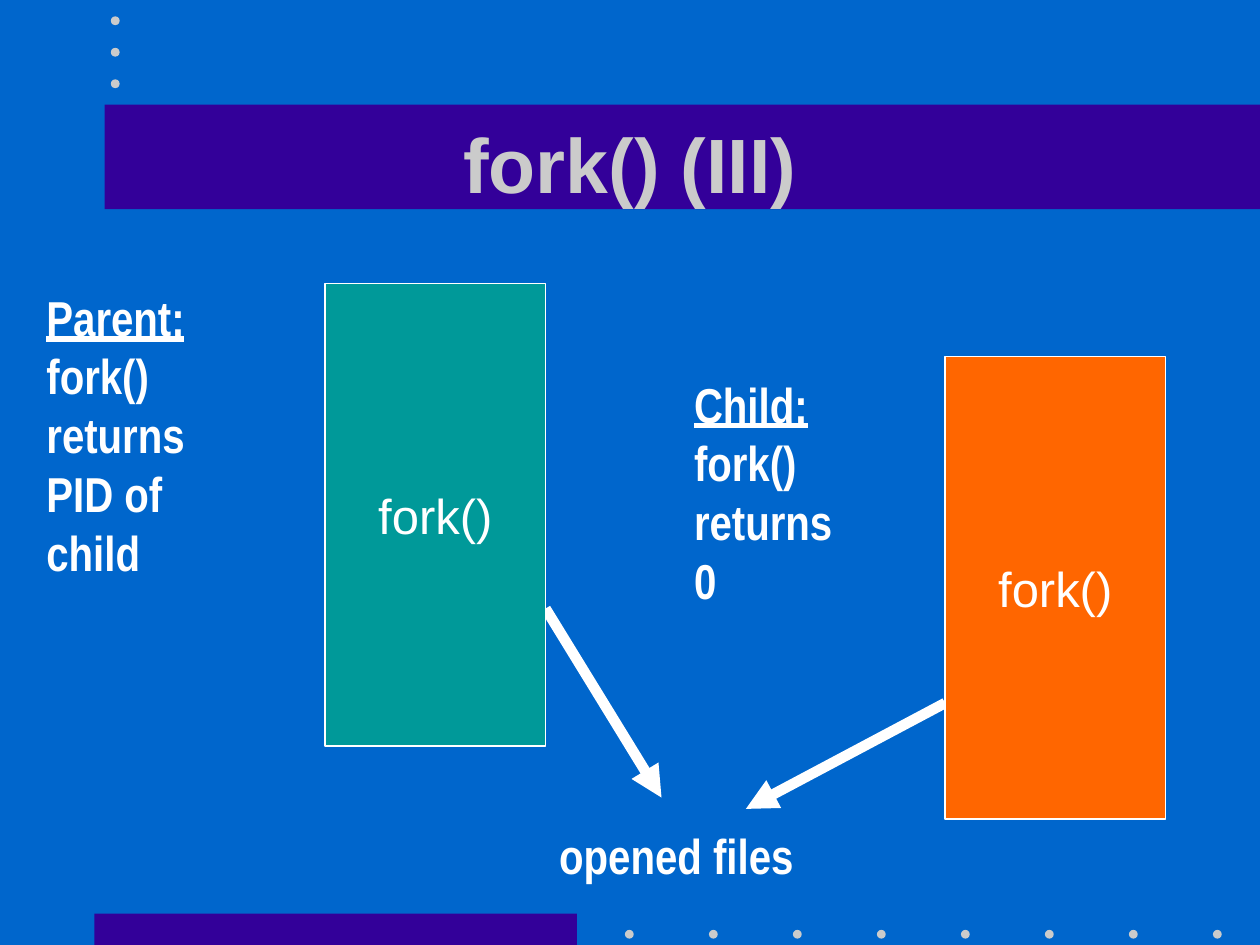
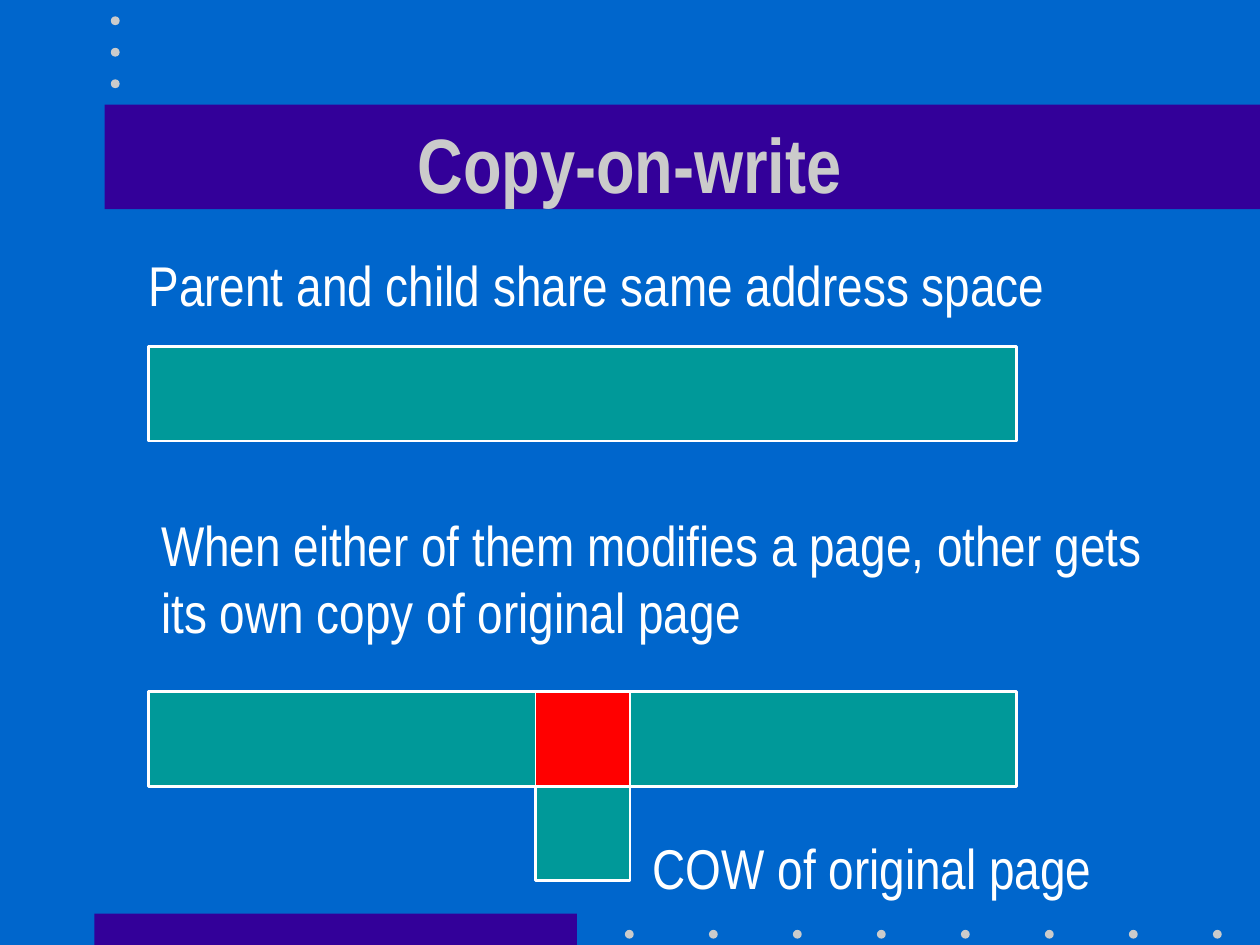
from lxml import etree
from pptx import Presentation
from pptx.dml.color import RGBColor
from pptx.enum import shapes, text
from pptx.oxml.ns import qn
from pptx.util import Inches, Pt

BLUE = RGBColor(0x00, 0x66, 0xCC)
PURPLE = RGBColor(0x33, 0x00, 0x99)
GREY = RGBColor(0xCB, 0xCB, 0xCB)
WHITE = RGBColor(0xFF, 0xFF, 0xFF)
TEAL = RGBColor(0x00, 0x99, 0x99)
ORANGE = RGBColor(0xFF, 0x66, 0x00)
RED = RGBColor(0xFF, 0x00, 0x00)

SANS = "Arial"
NARROW = "Arial Narrow"
RECT = shapes.MSO_SHAPE.RECTANGLE
OVAL = shapes.MSO_SHAPE.OVAL


def set_font(p, name, size, color, bold=False):
    p.font.name = name
    p.font.size = Pt(size)
    p.font.color.rgb = color
    p.font.bold = bold


def add_block(s, box, fill, line=None, label="", kind=RECT):
    """Filled shape; line is the width of a white outline in points."""
    sp = s.shapes.add_shape(kind, *map(Inches, box))
    sp.shadow.inherit = False
    sp.fill.solid()
    sp.fill.fore_color.rgb = fill
    if line:
        sp.line.color.rgb = WHITE
        sp.line.width = Pt(line)
    else:
        sp.line.fill.background()
    if label:
        tf = sp.text_frame
        tf.word_wrap = False
        tf.vertical_anchor = text.MSO_ANCHOR.MIDDLE
        p = tf.paragraphs[0]
        p.text = label
        p.alignment = text.PP_ALIGN.CENTER
        set_font(p, SANS, 28, WHITE)
    return sp


def add_text(s, box, lines, size, bold=False, wrap=False):
    tf = s.shapes.add_textbox(*map(Inches, box)).text_frame
    tf.word_wrap = wrap
    tf.auto_size = text.MSO_AUTO_SIZE.SHAPE_TO_FIT_TEXT
    tf.text = "\n".join(lines)
    for p in tf.paragraphs:
        set_font(p, NARROW, size, WHITE, bold)
    return tf


def add_process_note(s, box, heading, *lines):
    tf = add_text(s, box, [heading, *lines], 28, bold=True, wrap=True)
    tf.paragraphs[0].font.underline = True


def add_arrow(s, start, end):
    cn = s.shapes.add_connector(shapes.MSO_CONNECTOR.STRAIGHT,
                                *map(Inches, (*start, *end)))
    cn.line.color.rgb = WHITE
    cn.line.width = Pt(6)
    etree.SubElement(cn.line._get_or_add_ln(), qn("a:tailEnd"), type="triangle")
    etree.SubElement(cn._element.spPr, qn("a:effectLst"))


def move_to_layout(layout, items):
    """Put shapes behind the placeholders of the layout."""
    for i, sp in enumerate(items):
        el = sp._element
        el.nvSpPr.cNvPr.set("id", str(100 + i))
        layout.shapes._spTree.insert(2 + i, el)


def decorate(s):
    """Draw the bands and dots that all slides share, on their layout."""
    s.slide_layout.slide_master.background.fill.solid()
    s.slide_layout.slide_master.background.fill.fore_color.rgb = BLUE
    bands = [(0.75, 7.25, 3.83, 0.25), (0.83, 0.83, 9.17, 0.83)]
    dots = [(4.96 + i * 2 / 3, 7.38, 0.07, 0.07) for i in range(8)]
    dots += [(0.88, 0.13 + i * 0.25, 0.07, 0.07) for i in range(3)]
    items = [add_block(s, box, PURPLE) for box in bands]
    items += [add_block(s, box, GREY, kind=OVAL) for box in dots]
    move_to_layout(s.slide_layout, items)


def add_slide(prs, title, font):
    s = prs.slides.add_slide(prs.slide_layouts[5])
    sp = s.shapes.title
    sp.left, sp.top, sp.width, sp.height = map(Inches, (0.75, 0.67, 8.5, 1.25))
    tf = sp.text_frame
    tf.text = title
    tf.word_wrap = True
    tf.auto_size = text.MSO_AUTO_SIZE.NONE
    tf.vertical_anchor = text.MSO_ANCHOR.MIDDLE
    p = tf.paragraphs[0]
    p.alignment = text.PP_ALIGN.CENTER
    set_font(p, font, 44, GREY, bold=True)
    return s


def fill_fork(s):
    add_arrow(s, (7.5, 5.58), (5.92, 6.42))
    add_arrow(s, (4.33, 4.83), (5.25, 6.33))
    for left, top, color in ((2.58, 2.25, TEAL), (7.5, 2.83, ORANGE)):
        add_block(s, (left, top, 1.75, 3.67), color, 1, "fork()")
    add_process_note(s, (0.27, 2.23, 1.68, 2.44),
                     "Parent:", "fork()", "returns", "PID of", "child")
    add_process_note(s, (5.41, 2.92, 1.49, 1.97),
                     "Child:", "fork()", "returns", "0")
    add_text(s, (4.34, 6.5, 2.06, 0.57), ["opened files"], 28, bold=True)


def fill_copy_on_write(s):
    left, width, page = 1.18, 6.89, 0.75
    shared_top, modified_top = 2.75, 5.49
    page_left = left + (width - page) / 2

    add_text(s, (1.08, 1.94, 7.32, 0.64),
             ["Parent and child share same address space"], 32)
    add_block(s, (left, shared_top, width, page), TEAL, 1.5)

    add_text(s, (1.18, 4, 7.99, 1.17),
             ["When either of them modifies a page, other gets",
              "its own copy of original page"], 32)
    add_block(s, (page_left, modified_top + page, page, page), TEAL, 1.5)
    add_block(s, (left, modified_top, width, page), TEAL, 1.5)
    add_block(s, (page_left, modified_top, page, page), RED, 1)
    add_text(s, (5.08, 6.57, 3.69, 0.64), ["COW of original page"], 32)


def main():
    prs = Presentation()
    prs.slide_width, prs.slide_height = Inches(10), Inches(7.5)
    fork = add_slide(prs, "fork() (III)", SANS)
    decorate(fork)
    fill_fork(fork)
    fill_copy_on_write(add_slide(prs, "Copy-on-write", NARROW))
    prs.save("out.pptx")


if __name__ == "__main__":
    main()
